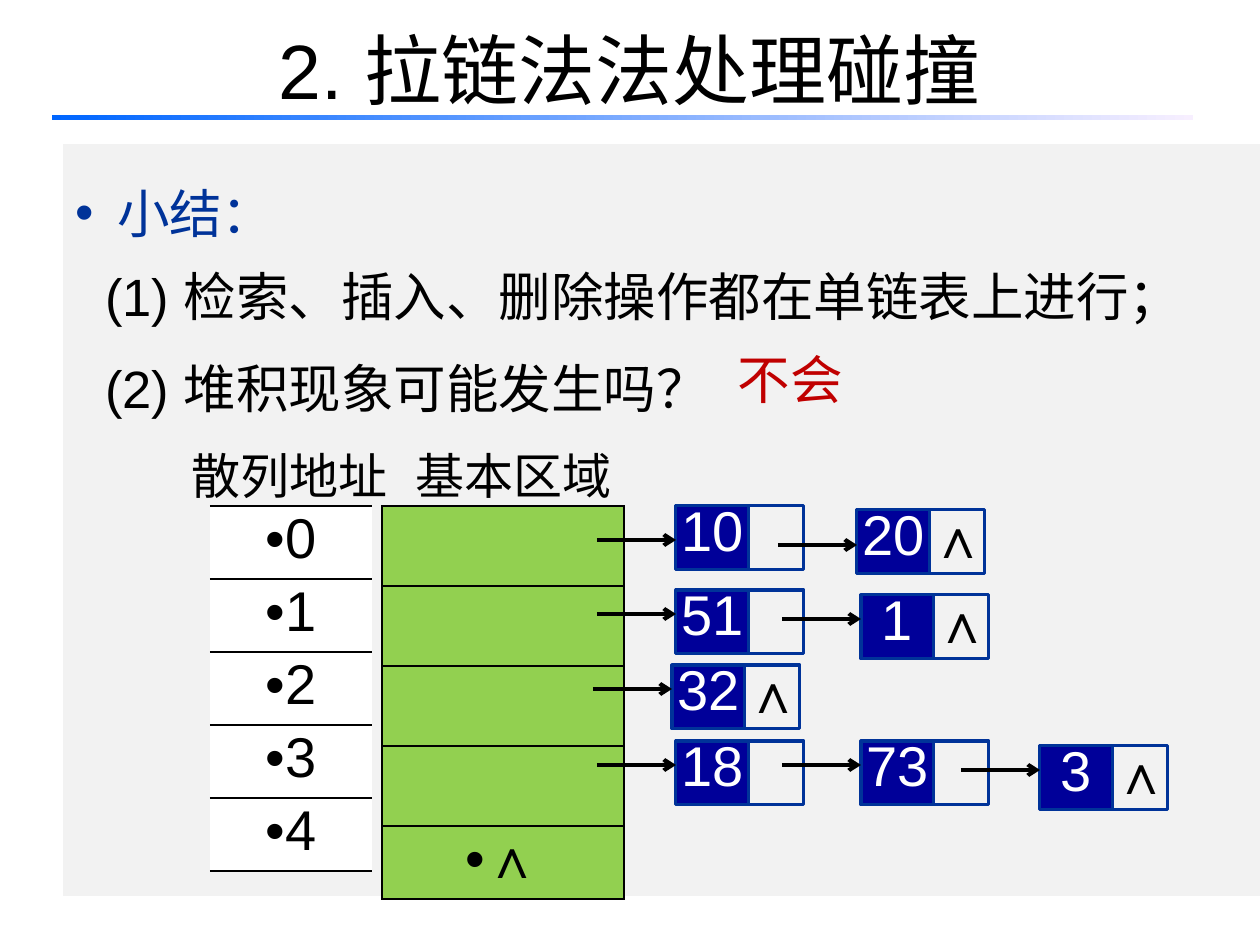
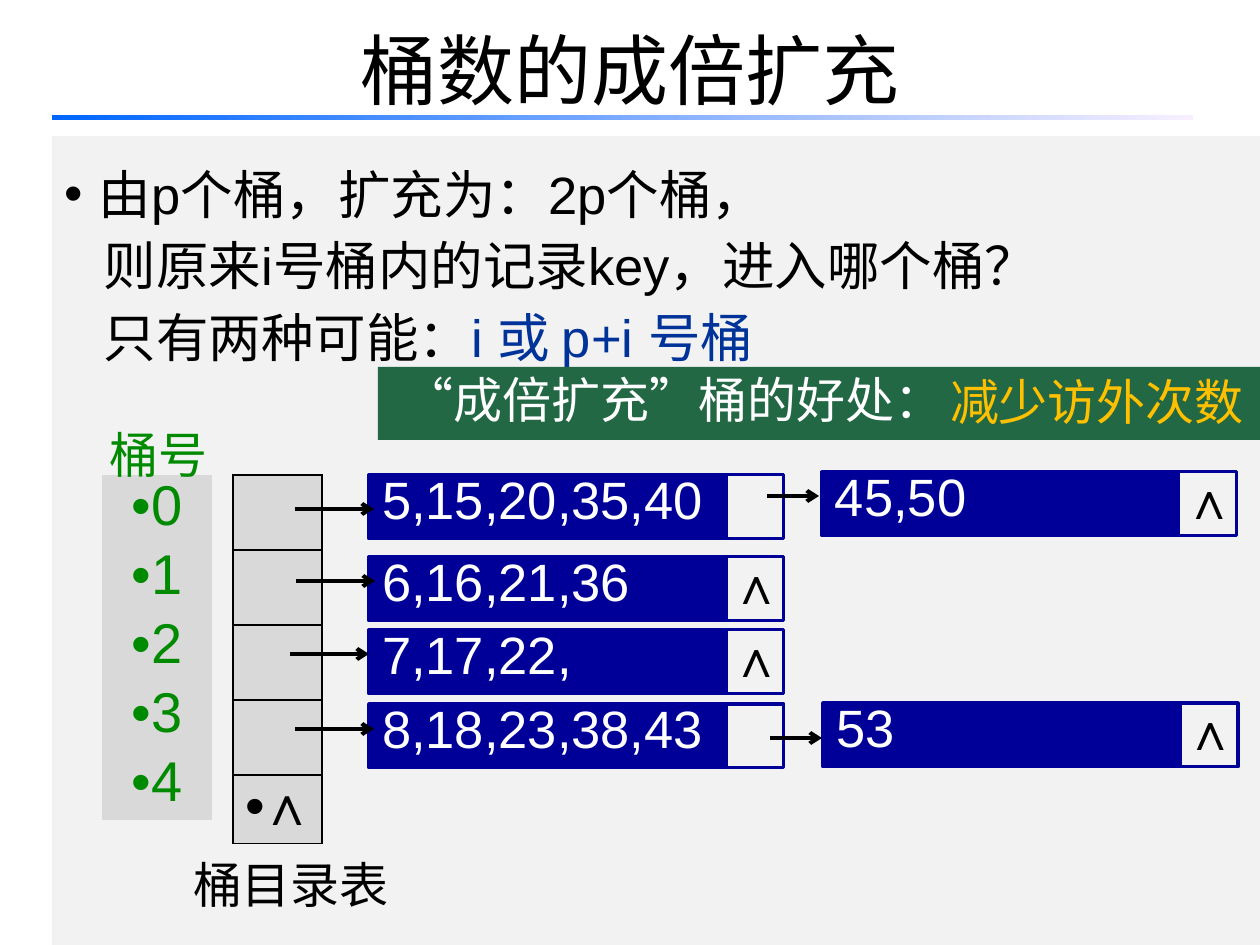
import pptx
import pptx.dml.color
import pptx.enum.dml
import pptx.enum.shapes
import pptx.enum.text
import pptx.oxml
import pptx.oxml.ns
import pptx.util

PX = 914400 / 126
LATIN, HAN = "Arial", "Noto Sans CJK SC"
BLACK, WHITE, PANEL = "000000", "FFFFFF", "F2F2F2"
BLUE, NAVY, RED = "003399", "000099", "C00000"
GREEN, GRAY, LIME = "008A00", "D9D9D9", "92D050"
BAND, GOLD = "226845", "FFC000"
SKY, LILAC = "0066FF", "F7EFFF"
NIL = "∧"
NODE_HEIGHT = 64

ALIGN = pptx.enum.text.PP_ALIGN
ANCHOR = pptx.enum.text.MSO_ANCHOR


def px(*lengths):
    return [pptx.util.Emu(round(length * PX)) for length in lengths]


def rgb(color):
    return pptx.dml.color.RGBColor.from_string(color)


def sub_element(parent, tag, **attributes):
    child = parent.makeelement(pptx.oxml.ns.qn(tag), attributes)
    parent.append(child)
    return child


def write(para, text, size=30, color=BLACK, bold=False):
    span = para.add_run()
    span.text = text
    span.font.size = pptx.util.Pt(size)
    span.font.bold = bold
    span.font.name = LATIN
    span.font.color.rgb = rgb(color)
    sub_element(span._r.get_or_add_rPr(), "a:ea", typeface=HAN)


def set_list_style(para, bullet=False, left=0, hang=0):
    properties = para._p.get_or_add_pPr()
    left, hang = px(left, hang)
    properties.set("marL", str(left))
    properties.set("indent", str(-hang))
    if bullet:
        sub_element(properties, "a:buFont", typeface=LATIN)
        sub_element(properties, "a:buChar", char="•")
    else:
        sub_element(properties, "a:buNone")


def set_frame(frame, anchor=ANCHOR.MIDDLE, wrap=True, margins=(13, 0, 13, 0)):
    frame.auto_size = pptx.enum.text.MSO_AUTO_SIZE.NONE
    frame.word_wrap = wrap
    frame.vertical_anchor = anchor
    (frame.margin_left, frame.margin_top,
     frame.margin_right, frame.margin_bottom) = px(*margins)


def place(shape, *bounds):
    shape.left, shape.top, shape.width, shape.height = px(*bounds)


def add_box(page, bounds, fill=None, line=None):
    box = page.shapes.add_shape(
        pptx.enum.shapes.MSO_SHAPE.RECTANGLE, *px(*bounds))
    box.shadow.inherit = False
    if fill:
        box.fill.solid()
        box.fill.fore_color.rgb = rgb(fill)
    else:
        box.fill.background()
    if line:
        box.line.color.rgb = rgb(line)
        box.line.width = pptx.util.Pt(1.75)
    else:
        box.line.fill.background()
    return box


def add_label(page, bounds, text, anchor=ANCHOR.MIDDLE, size=28, color=BLACK):
    box = page.shapes.add_textbox(*px(*bounds))
    set_frame(box.text_frame, anchor)
    para = box.text_frame.paragraphs[0]
    para.line_spacing = pptx.util.Pt(size)
    write(para, text, size=size, color=color)


def add_caption(page, x, y, width, text, color=BLACK):
    add_label(page, (x, y, width, 73), text, ANCHOR.BOTTOM, color=color)


def add_page(deck, title, body_bounds, body_top_margin):
    """Add a page with its title, rule and panel; return page and body frame."""
    page = deck.slides.add_slide(deck.slide_layouts[1])
    heading, body = page.placeholders
    place(heading, 63, -10, 1134, 157)
    set_frame(heading.text_frame)
    para = heading.text_frame.paragraphs[0]
    para.alignment = ALIGN.CENTER
    write(para, title, size=44)

    place(body, *body_bounds)
    body.fill.solid()
    body.fill.fore_color.rgb = rgb(PANEL)
    set_frame(body.text_frame, ANCHOR.TOP, margins=(13, body_top_margin, 13, 6))

    rule = add_box(page, (52, 115, 1141, 5), fill=SKY)
    rule.fill.gradient()
    rule.fill.gradient_angle = 0
    for stop, color in zip(rule.fill.gradient_stops, (SKY, LILAC)):
        stop.color.rgb = rgb(color)
    return page, body.text_frame


def add_line_of_list(frame, spans, before=0, **list_style):
    """Append a paragraph made of (text, color) spans."""
    first = frame.paragraphs[0]
    para = frame.add_paragraph() if first.runs else first
    set_list_style(para, **list_style)
    para.line_spacing = pptx.util.Pt(41)
    para.space_before = pptx.util.Pt(before)
    for text, color in spans:
        write(para, text, color=color)


def set_borders(cell, sides):
    properties = cell._tc.get_or_add_tcPr()
    for index, side in enumerate("LRTB"):
        width = 12700 if side in sides else 0
        edge = properties.makeelement(
            pptx.oxml.ns.qn(f"a:ln{side}"), {"w": str(width)})
        if side in sides:
            fill = sub_element(edge, "a:solidFill")
            sub_element(fill, "a:srgbClr", val=BLACK)
        else:
            sub_element(edge, "a:noFill")
        properties.insert(index, edge)


def add_column(page, x, y, width, row_heights, texts, fill, sides="", **style):
    """Add a one-column table with bulleted, centred entries."""
    frame = page.shapes.add_table(
        len(texts), 1, *px(x, y, width, sum(row_heights)))
    table = frame.table
    table.first_row = table.horz_banding = False
    for row, height, text in zip(table.rows, row_heights, texts):
        row.height, = px(height)
        cell = row.cells[0]
        cell.fill.solid()
        cell.fill.fore_color.rgb = rgb(fill)
        set_borders(cell, sides)
        cell.margin_top = cell.margin_bottom = 0
        cell.vertical_anchor = ANCHOR.MIDDLE
        if text:
            para = cell.text_frame.paragraphs[0]
            set_list_style(para, bullet=True)
            para.alignment = ALIGN.CENTER
            para.line_spacing = pptx.util.Pt(32)
            write(para, text, size=32, **style)


def add_arrow(page, tip_x, y, length):
    arrow = page.shapes.add_connector(
        pptx.enum.shapes.MSO_CONNECTOR.STRAIGHT,
        *px(tip_x - length, y, tip_x, y))
    arrow.line.color.rgb = rgb(BLACK)
    arrow.line.width = pptx.util.Pt(2.25)
    sub_element(arrow.line._get_or_add_ln(), "a:tailEnd", type="arrow")
    sub_element(arrow._element.spPr, "a:effectLst")


def fill_box(box, text, align, margins, **style):
    set_frame(box.text_frame, wrap=False, margins=margins)
    para = box.text_frame.paragraphs[0]
    para.alignment = align
    para.line_spacing = pptx.util.Pt(style["size"])
    write(para, text, **style)


def add_node(page, x, y, text, last, data_width, link_width, line, size, align):
    """Add a list node: a data box and a link box, marked when it is the last."""
    overlap = 11
    link = add_box(page, (x + data_width - overlap, y, link_width, NODE_HEIGHT),
                   line=line)
    if last:
        fill_box(link, NIL, ALIGN.CENTER, (14, 0, 0, 0), size=size, bold=True)
    data = add_box(page, (x, y, data_width, NODE_HEIGHT), fill=NAVY, line=line)
    fill_box(data, text, align, (13, 0, 13, 6), size=size, color=WHITE)


def build_chaining_page(deck):
    page, body = add_page(deck, "2. 拉链法法处理碰撞", (63, 144, 1197, 752), 28)
    add_line_of_list(body, [("小结：", BLUE)], bullet=True, left=41, hang=41)
    add_line_of_list(body, [("(1) 检索、插入、删除操作都在单链表上进行；", BLACK)],
                     before=6.5, left=29)
    add_line_of_list(body, [("(2) 堆积现象可能发生吗？", BLACK)],
                     before=11.5, left=29)
    add_label(page, (725, 342, 410, 84), "不会", size=30, color=RED)

    add_caption(page, 179, 431, 236, "散列地址")
    add_caption(page, 403, 431, 231, "基本区域")
    add_column(page, 382, 506, 242, [80] * 4 + [73], [""] * 4 + [NIL],
               LIME, "LRTB", bold=True)
    add_column(page, 210, 506, 162, [73] * 5, "01234", WHITE, "TB")

    # Key, left, top, arrow drop below the top, whether it ends its chain
    nodes = [
        ("10", 676, 506, 34, False), ("20", 857, 510, 35, True),
        ("51", 676, 590, 24, False), ("1", 861, 595, 24, True),
        ("32", 672, 665, 24, True),
        ("18", 676, 741, 24, False), ("73", 861, 741, 24, False),
        ("3", 1040, 746, 24, True),
    ]
    for key, x, y, drop, last in nodes:
        add_node(page, x, y, key, last, data_width=73, link_width=66,
                 line=BLUE, size=32, align=ALIGN.CENTER)
    for _, x, y, drop, _ in nodes:
        add_arrow(page, x, y + drop, 79)


def build_bucket_page(deck):
    page, body = add_page(deck, "桶数的成倍扩充", (52, 136, 1208, 809), 17)
    add_line_of_list(body, [("由p个桶，扩充为：2p个桶，", BLACK)],
                     bullet=True, left=34, hang=34)
    add_line_of_list(body, [("则原来i号桶内的记录key，进入哪个桶？", BLACK)], left=39)
    add_line_of_list(body, [("只有两种可能：", BLACK), ("i 或 p+i 号桶", BLUE)],
                     left=39)

    band = add_box(page, (378, 367, 882, 73), fill=BAND)
    fill_box(band, "“成倍扩充”桶的好处：", ALIGN.LEFT, (27, 0, 0, 0),
             size=28, color=WHITE)
    add_label(page, (937, 369, 323, 73), "减少访外次数", color=GOLD)

    add_column(page, 233, 475, 89, [75] * 4 + [69], [""] * 4 + [NIL],
               GRAY, "LRTB", bold=True)
    add_column(page, 102, 475, 110, [69] * 5, "01234", GRAY, color=GREEN)
    add_caption(page, 97, 410, 168, "桶号", color=GREEN)
    add_caption(page, 180, 840, 231, "桶目录表")

    # Keys, left, top, arrow tip, arrow drop, arrow length, whether last
    buckets = [
        ("5,15,20,35,40", 369, 475, 374, 34, 79, False),
        ("45,50", 822, 472, 819, 24, 52, True),
        ("6,16,21,36", 369, 557, 375, 24, 79, True),
        ("7,17,22,", 369, 630, 369, 24, 79, True),
        ("8,18,23,38,43", 369, 704, 374, 25, 79, False),
        ("53", 823, 703, 822, 35, 52, True),
    ]
    for keys, x, y, tip, drop, length, last in buckets:
        add_node(page, x, y, keys, last, data_width=357, link_width=69,
                 line=NAVY, size=30, align=ALIGN.LEFT)
        add_arrow(page, tip, y + drop, length)


def main():
    deck = pptx.Presentation()
    deck.slide_width, deck.slide_height = px(1260, 945)
    build_chaining_page(deck)
    build_bucket_page(deck)
    deck.save("out.pptx")


if __name__ == "__main__":
    main()
